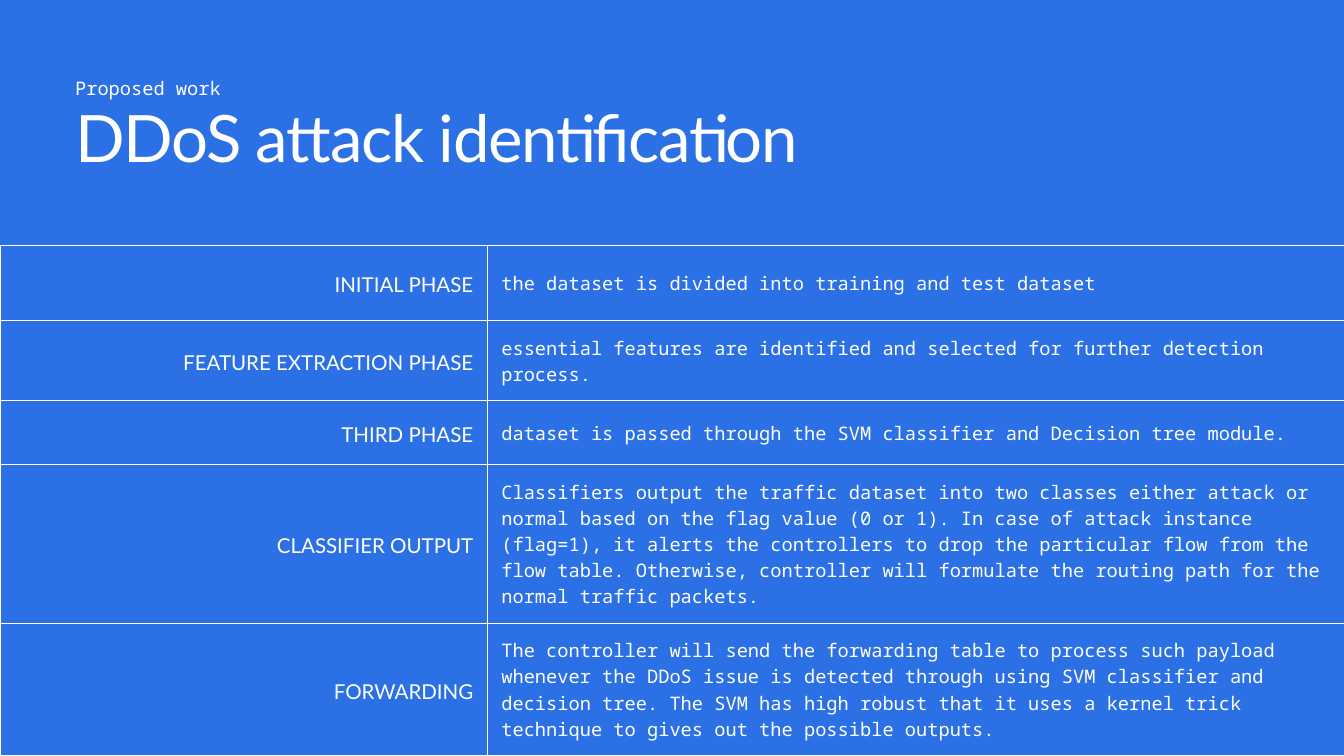
import pptx
import pptx.util
import pptx.dml.color
import pptx.enum.text
import pptx.oxml
import pptx.oxml.ns

Cm, Pt = pptx.util.Cm, pptx.util.Pt
Align = pptx.enum.text.PP_ALIGN
Anchor = pptx.enum.text.MSO_ANCHOR

BLUE, WHITE = "2B70E4", "FFFFFF"
SANS, MONO = "Lato", "Noto Sans Mono"
LABEL = "Proposed work"
TITLE = "DDoS attack identification"
PHASES = [
    (2.84, "INITIAL PHASE",
     "the dataset is divided into training and test dataset"),
    (2.84, "FEATURE EXTRACTION PHASE",
     "essential features are identified and selected for further "
     "detection process."),
    (2.41, "THIRD PHASE",
     "dataset is passed through the SVM classifier and Decision tree module."),
    (4.17, "CLASSIFIER OUTPUT",
     "Classifiers output the traffic dataset into two classes either attack or "
     "normal based on the flag value (0 or 1). In case of attack instance "
     "(flag=1), it alerts the controllers to drop the particular flow from the "
     "flow table. Otherwise, controller will formulate the routing path for "
     "the normal traffic packets."),
    (4.17, "FORWARDING",
     "The controller will send the forwarding table to process such payload "
     "whenever the DDoS issue is detected through using SVM classifier and "
     "decision tree. The SVM has high robust that it uses a kernel trick "
     "technique to gives out the possible outputs."),
]
COLS = [(18.42, SANS, 22, 30.8, Align.RIGHT), (32.38, MONO, 20, 28, Align.LEFT)]


def paint(target, color):
    target.rgb = pptx.dml.color.RGBColor.from_string(color)


def write(frame, text, face, size, lead, align=Align.LEFT):
    frame.text = text
    frame.word_wrap = True
    para = frame.paragraphs[0]
    para.alignment = align
    para.line_spacing = Pt(lead)
    font = para.runs[0].font
    font.name, font.size = face, Pt(size)
    paint(font.color, WHITE)
    return para.runs[0]


def inset(item, size):
    item.margin_left = item.margin_right = Cm(size)
    item.margin_top = item.margin_bottom = Cm(size)


def border(cell):
    props = cell._tc.get_or_add_tcPr()
    for spot, side in enumerate("LRTB"):
        props.insert(spot, pptx.oxml.parse_xml(
            f'<a:ln{side} {pptx.oxml.ns.nsdecls("a")} w="{Pt(0.75)}">'
            f'<a:solidFill><a:srgbClr val="{WHITE}"/></a:solidFill>'
            f'</a:ln{side}>'))


def head(slide):
    title = slide.shapes.title
    title.left, title.top = Cm(2.84), Cm(3.66)
    title.width, title.height = Cm(36.45), Cm(3)
    label = slide.shapes.add_textbox(Cm(2.84), Cm(2.77), Cm(12.73), Cm(0.91))
    for shape in (title, label):
        frame = shape.text_frame
        inset(frame, 0)
        frame.vertical_anchor = Anchor.TOP
        frame.auto_size = pptx.enum.text.MSO_AUTO_SIZE.NONE
    run = write(title.text_frame, TITLE, SANS, 70, 84)
    run.font._element.set("spc", "-140")
    write(label.text_frame, LABEL, MONO, 20, 28)


def grid(slide):
    wide = sum(col[0] for col in COLS)
    tall = sum(row[0] for row in PHASES)
    table = slide.shapes.add_table(len(PHASES), len(COLS), 0, Cm(9.27),
                                   Cm(wide), Cm(tall)).table
    table.first_row = table.horz_banding = False
    for col, (width, *_) in zip(table.columns, COLS):
        col.width = Cm(width)
    for r, (height, *texts) in enumerate(PHASES):
        table.rows[r].height = Cm(height)
        for c, (text, (_, *style)) in enumerate(zip(texts, COLS)):
            cell = table.cell(r, c)
            write(cell.text_frame, text, *style)
            inset(cell, 0.53)
            cell.vertical_anchor = Anchor.MIDDLE
            cell.fill.background()
            border(cell)


def main():
    deck = pptx.Presentation()
    deck.slide_width, deck.slide_height = Cm(50.8), Cm(28.58)
    slide = deck.slides.add_slide(deck.slide_layouts[5])
    slide.background.fill.solid()
    paint(slide.background.fill.fore_color, BLUE)
    head(slide)
    grid(slide)
    deck.save("out.pptx")


if __name__ == "__main__":
    main()
